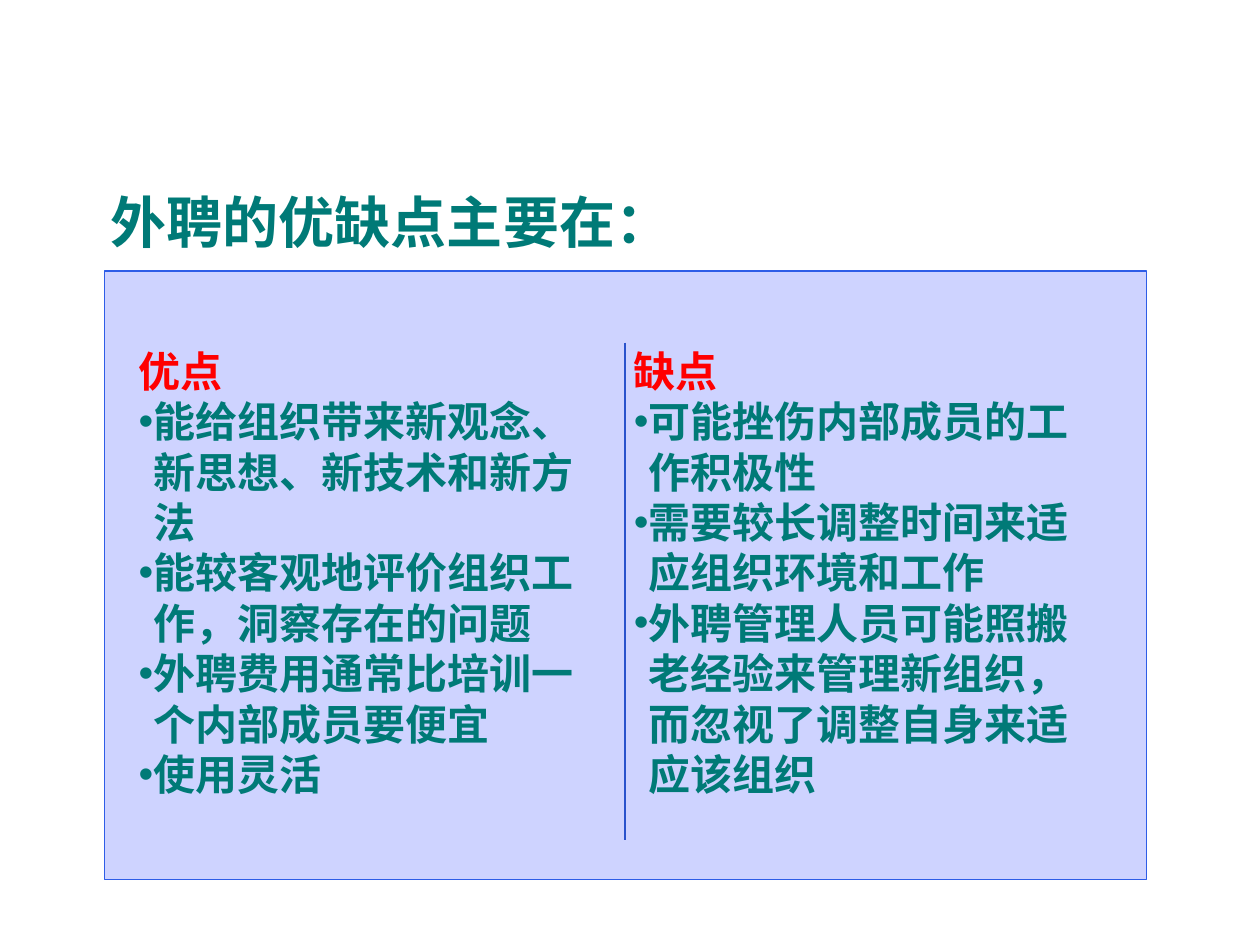
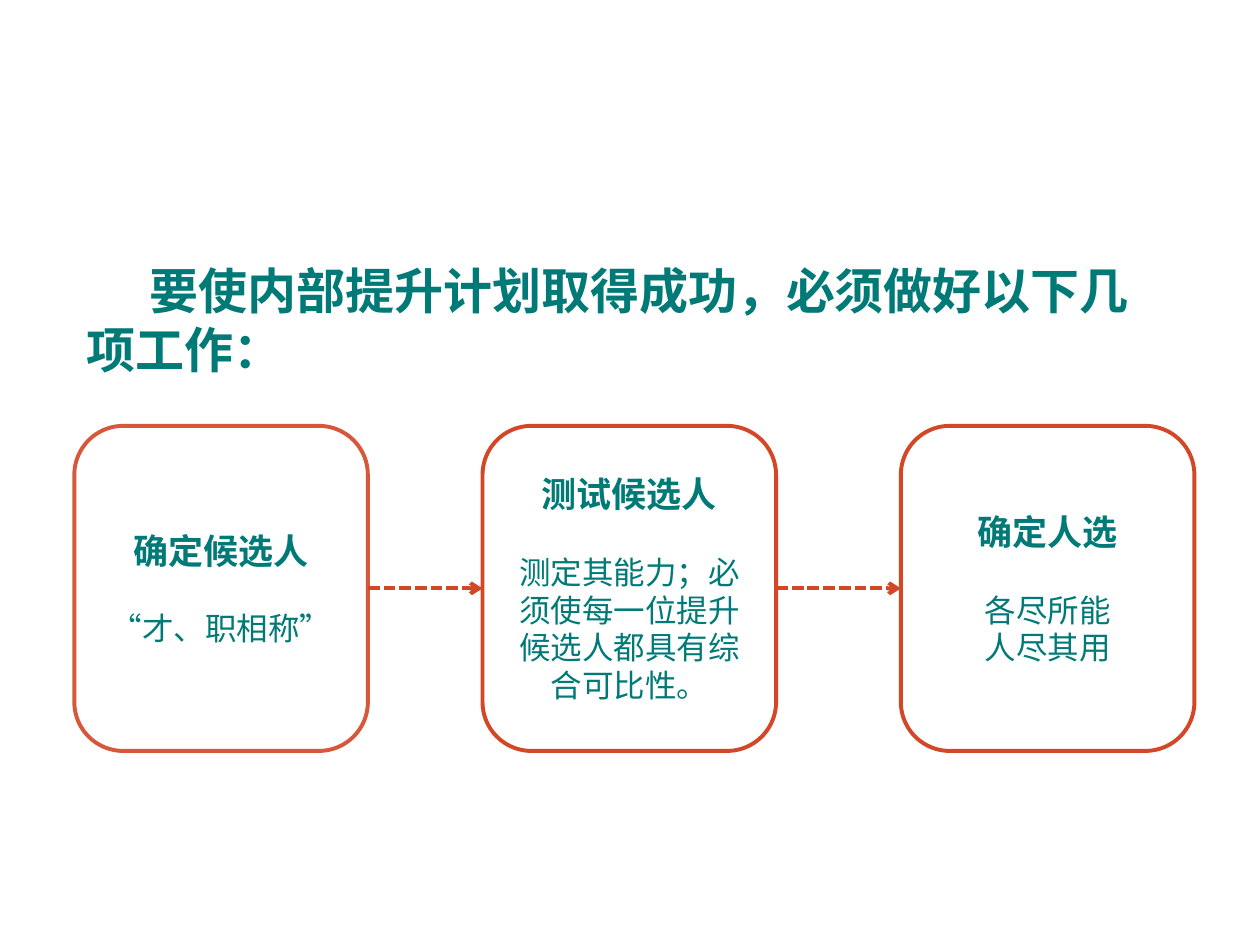
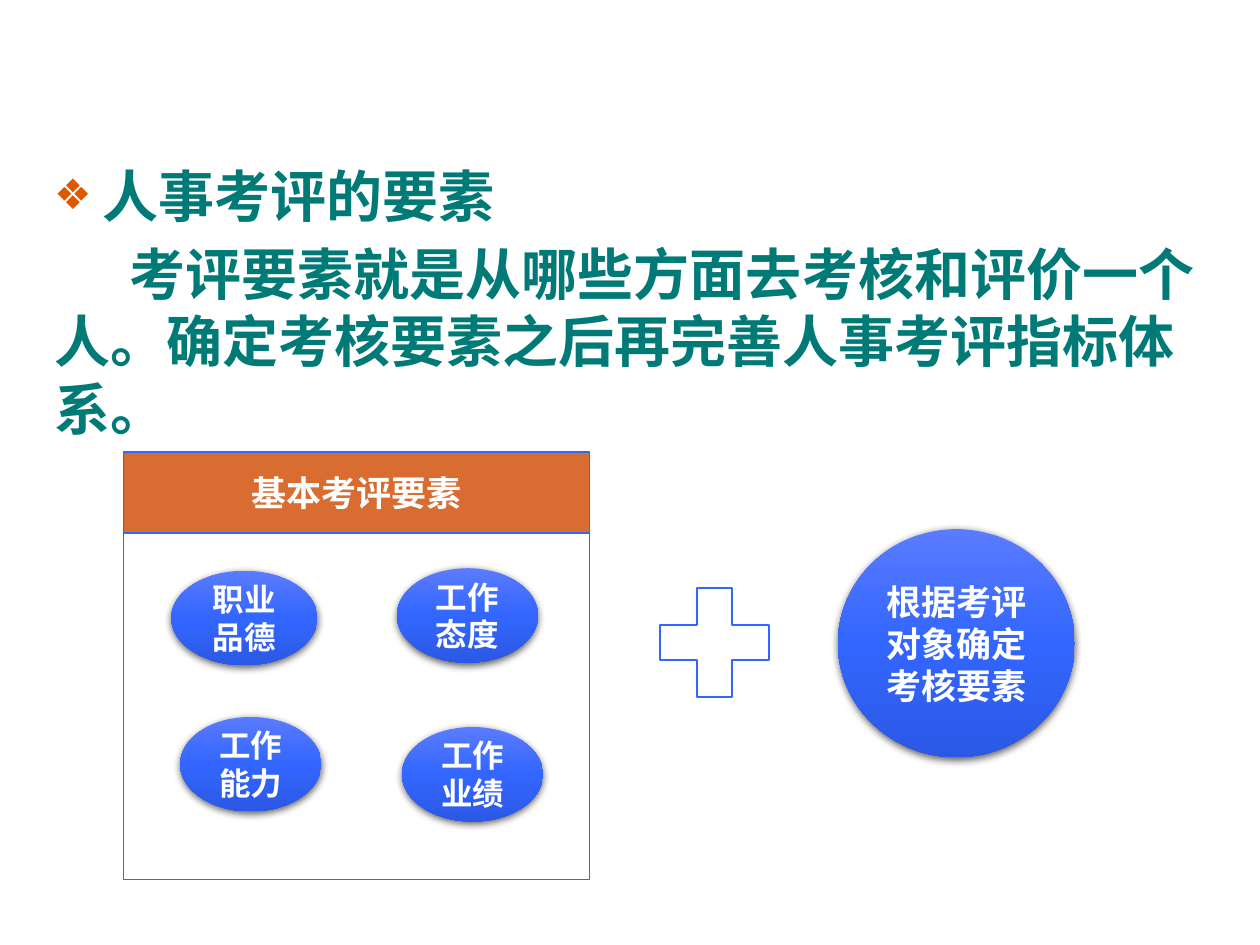
from lxml import etree
from pptx import Presentation
from pptx import util as u
from pptx.dml.color import RGBColor
from pptx.enum import dml, shapes, text
from pptx.oxml import ns

# Shared style
TEAL, RED, WHITE, BLUE = "007A77", "FF0000", "FFFFFF", "3366FF"
BRICK, ORANGE, LILAC = "D34726", "D96C31", "CED3FF"
GLOSS = [(0, "5A7BFF"), (50, BLUE), (100, "2B59E5")]
LATIN, CHINESE = "Arial", "Noto Sans CJK SC"
LINE_HEIGHT = 1.2
LEFT, CENTER = text.PP_ALIGN.LEFT, text.PP_ALIGN.CENTER
TOP, MIDDLE = text.MSO_ANCHOR.TOP, text.MSO_ANCHOR.MIDDLE
SHAPE = shapes.MSO_SHAPE

# Content
HIRING_TITLE = "外聘的优缺点主要在："
HIRING_COLUMNS = [
    ("优点", ["能给组织带来新观念、新思想、新技术和新方法",
            "能较客观地评价组织工作，洞察存在的问题",
            "外聘费用通常比培训一个内部成员要便宜",
            "使用灵活"]),
    ("缺点", ["可能挫伤内部成员的工作积极性",
            "需要较长调整时间来适应组织环境和工作",
            "外聘管理人员可能照搬老经验来管理新组织，而忽视了调整自身来适应该组织"]),
]
PROMOTION_TITLE = "要使内部提升计划取得成功，必须做好以下几项工作："
PROMOTION_STEPS = [  # left edge, heading, details, line opacity in percent
    (0.59, "确定候选人", ["“才、职相称”"], 91),
    (3.83, "测试候选人", ["测定其能力；必须使每一位提升候选人都具有综合可比性。"], 100),
    (7.15, "确定人选", ["各尽所能", "人尽其用"], 100),
]
APPRAISAL_HEADING = "人事考评的要素"
APPRAISAL_TEXT = "考评要素就是从哪些方面去考核和评价一个人。确定考核要素之后再完善人事考评指标体系。"
BASIC_HEADING = "基本考评要素"
ELEMENTS = [  # wording, box, text size
    ("职业品德", (1.36, 4.53, 1.16, 0.75), 18),
    ("工作业绩", (3.19, 5.77, 1.12, 0.75), 18),
    ("工作态度", (3.15, 4.51, 1.12, 0.75), 18),
    ("工作能力", (1.43, 5.69, 1.12, 0.75), 18),
    ("根据考评对象确定考核要素", (6.65, 4.2, 1.88, 1.81), 20),
]


def color(value):
    return RGBColor.from_string(value)


def add_node(parent, tag, **attributes):
    node = etree.SubElement(parent, ns.qn(f"a:{tag}"))
    for name, value in attributes.items():
        node.set(name, str(value))
    return node


def place(shape, box):
    for name, value in zip(("left", "top", "width", "height"), box):
        setattr(shape, name, u.Inches(value))


def paragraph_of(wording, size, bold=True, fill=TEAL, font=LATIN, align=LEFT,
                 before=0, margin=0, indent=0, bullet=None):
    return dict(wording=wording, size=size, bold=bold, fill=fill, font=font,
                align=align, before=before, margin=margin, indent=indent, bullet=bullet)


def write(shape, paragraphs, anchor=TOP, inset=None):
    """Fill a shape or placeholder with formatted paragraphs."""
    frame = shape.text_frame
    settings = dict(word_wrap=True, auto_size=text.MSO_AUTO_SIZE.NONE, vertical_anchor=anchor)
    if inset is not None:
        settings.update({f"margin_{side}": u.Inches(inset)
                         for side in ("left", "top", "right", "bottom")})
    for name, value in settings.items():
        setattr(frame, name, value)
    for index, item in enumerate(paragraphs):
        paragraph = frame.add_paragraph() if index else frame.paragraphs[0]
        layout = dict(alignment=item["align"], space_before=u.Pt(item["before"]),
                      line_spacing=u.Pt(item["size"] * LINE_HEIGHT))
        for name, value in layout.items():
            setattr(paragraph, name, value)
        properties = paragraph._p.get_or_add_pPr()
        properties.set("marL", str(u.Inches(item["margin"])))
        properties.set("indent", str(u.Inches(item["indent"])))
        if item["bullet"]:
            symbol, bullet_fill, percent = item["bullet"]
            add_node(add_node(properties, "buClr"), "srgbClr", val=bullet_fill)
            add_node(properties, "buSzPct", val=percent * 1000)
            add_node(properties, "buChar", char=symbol)
        else:
            add_node(properties, "buNone")
        run = paragraph.add_run()
        run.text = item["wording"]
        for name, value in dict(size=u.Pt(item["size"]), bold=item["bold"],
                                name=item["font"]).items():
            setattr(run.font, name, value)
        run.font.color.rgb = color(item["fill"])
        add_node(run._r.get_or_add_rPr(), "ea", typeface=CHINESE)


def add_title(slide, wording, box, size):
    place(slide.shapes.title, box)
    write(slide.shapes.title, [paragraph_of(wording, size, indent=0.5)])


def add_box(slide, kind, box, fill=None, line=None, width=1):
    shape = slide.shapes.add_shape(kind, *map(u.Inches, box))
    shape.shadow.inherit = False
    if fill:
        shape.fill.solid()
        shape.fill.fore_color.rgb = color(fill)
    else:
        shape.fill.background()
    if line:
        shape.line.color.rgb = color(line)
        shape.line.width = u.Pt(width)
    else:
        shape.line.fill.background()
    return shape


def add_line(slide, start, end, line, width):
    connector = slide.shapes.add_connector(
        shapes.MSO_CONNECTOR.STRAIGHT, *map(u.Inches, start + end))
    connector.line.color.rgb = color(line)
    connector.line.width = u.Pt(width)
    add_node(connector._element.spPr, "effectLst")
    return connector


def add_glossy_ellipse(slide, wording, box, size):
    ellipse = add_box(slide, SHAPE.OVAL, box)
    ellipse.fill.gradient()
    ellipse.fill.gradient_angle = 270
    properties = ellipse._element.spPr
    stops = properties.find(".//" + ns.qn("a:gsLst"))
    for stop in list(stops):
        stops.remove(stop)
    for position, value in GLOSS:
        add_node(add_node(stops, "gs", pos=position * 1000), "srgbClr", val=value)
    shadow = add_node(properties.find(ns.qn("a:effectLst")), "outerShdw",
                      blurRad=u.Pt(4.5), dist=u.Pt(1.5), dir=5400000, rotWithShape=0)
    add_node(add_node(shadow, "srgbClr", val="000000"), "alpha", val=63000)
    write(ellipse, [paragraph_of(wording, size, fill=WHITE, align=CENTER)], MIDDLE)


def build_hiring(presentation):
    slide = presentation.slides.add_slide(presentation.slide_layouts[3])
    add_title(slide, HIRING_TITLE, (0.28, 1.44, 8.62, 0.71), 32)
    panel = add_box(slide, SHAPE.RECTANGLE, (0.83, 2.15, 8.27, 4.83), LILAC, "2E5DE7")
    slide.shapes._spTree.insert(2, panel._element)  # behind the text
    for column, (heading, points) in enumerate(HIRING_COLUMNS):
        body = slide.placeholders[column + 1]
        place(body, (1.07 + column * 3.93, 2.71, 3.8, 4.13))
        write(body, [paragraph_of(heading, 24, fill=RED)] + [
            paragraph_of(point, 24, margin=0.12, indent=-0.12, bullet=("•", TEAL, 100))
            for point in points], inset=0.03)
    add_line(slide, (4.96, 2.72), (4.96, 6.67), "2952CC", 1)


def build_promotion(presentation):
    slide = presentation.slides.add_slide(presentation.slide_layouts[5])
    add_title(slide, PROMOTION_TITLE, (0.59, 2.02, 8.62, 0.94), 28)
    steps = []
    for left, heading, details, opacity in PROMOTION_STEPS:
        step = add_box(slide, SHAPE.ROUNDED_RECTANGLE, (left, 3.38, 2.33, 2.58),
                       line=BRICK, width=2.25)
        if opacity < 100:
            line_color = step.line._ln.find(".//" + ns.qn("a:srgbClr"))
            add_node(line_color, "alpha", val=opacity * 1000)
        write(step, [paragraph_of(heading, 20, font=CHINESE, align=CENTER)] + [
            paragraph_of(detail, 18, False, font=CHINESE, align=CENTER,
                         before=0 if index else 18 * LINE_HEIGHT)
            for index, detail in enumerate(details)], MIDDLE)
        steps.append(step)
    for before, after in zip(steps, steps[1:]):
        arrow = add_line(slide, (0, 0), (1, 0), BRICK, 2.25)
        arrow.begin_connect(before, 3)
        arrow.end_connect(after, 1)
        arrow.line.dash_style = dml.MSO_LINE.SQUARE_DOT
        add_node(arrow.line._ln, "tailEnd", type="arrow")


def build_appraisal(presentation):
    slide = presentation.slides.add_slide(presentation.slide_layouts[1])
    title = slide.shapes.title._element
    title.getparent().remove(title)
    body = slide.placeholders[1]
    place(body, (0.33, 1.23, 9.34, 4.59))
    write(body, [
        paragraph_of(APPRAISAL_HEADING, 32, before=6.4, margin=0.38, indent=-0.38,
                     bullet=("❖", "DC5900", 75)),
        paragraph_of(APPRAISAL_TEXT, 32, before=6.4, indent=0.6)])
    # Basic elements panel with its header band
    add_box(slide, SHAPE.RECTANGLE, (0.98, 3.62, 3.7, 3.36), WHITE, BLUE)
    header = add_box(slide, SHAPE.RECTANGLE, (0.98, 3.59, 3.7, 0.64), ORANGE, BLUE)
    write(header, [paragraph_of(BASIC_HEADING, 20, fill=WHITE, align=CENTER)], MIDDLE)
    for element in ELEMENTS:
        add_glossy_ellipse(slide, *element)
    add_box(slide, SHAPE.MATH_PLUS, (5.08, 4.51, 1.18, 1.18), WHITE, BLUE)


def main():
    presentation = Presentation()
    presentation.slide_width, presentation.slide_height = u.Inches(10), u.Inches(7.5)
    for build in (build_hiring, build_promotion, build_appraisal):
        build(presentation)
    presentation.save("out.pptx")


if __name__ == "__main__":
    main()
